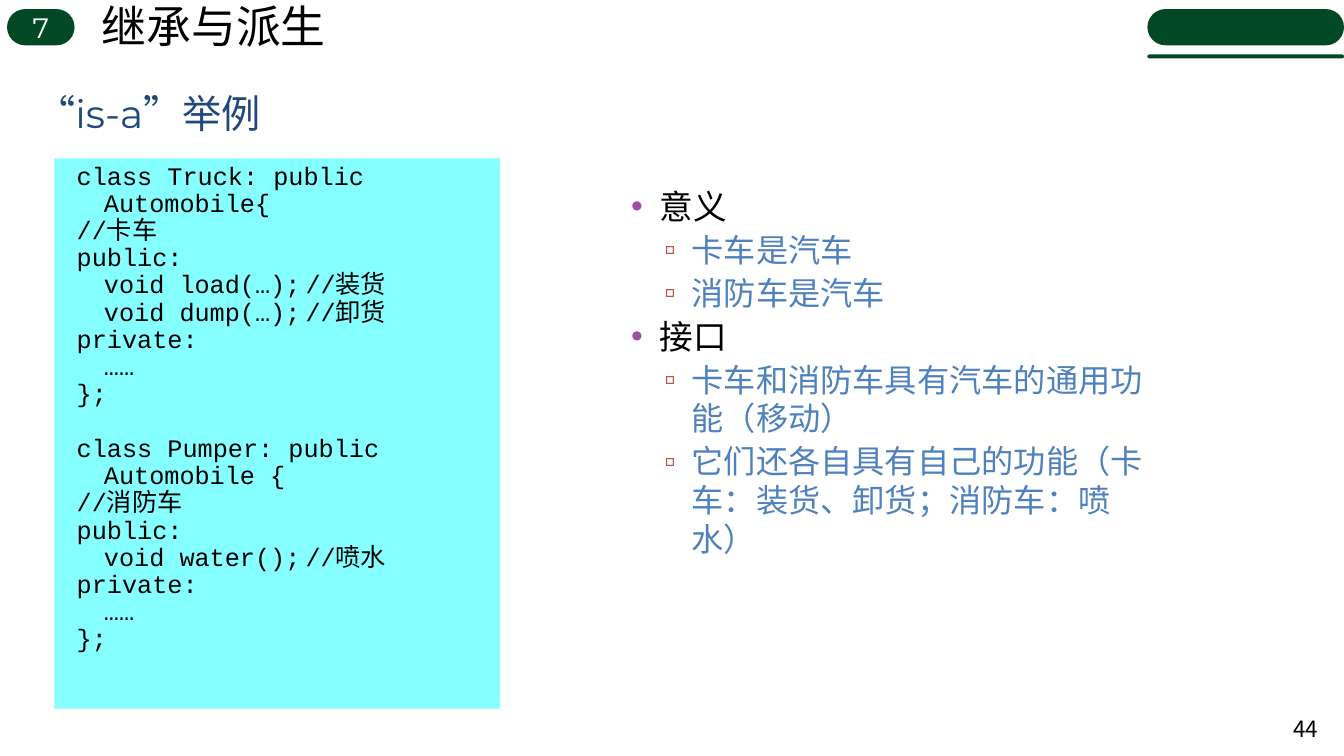
import dataclasses

import lxml.etree
import pptx
import pptx.dml.color
import pptx.enum.shapes
import pptx.enum.text
import pptx.oxml.ns
import pptx.util

Inches = pptx.util.Inches
Pt = pptx.util.Pt
Align = pptx.enum.text.PP_ALIGN
Anchor = pptx.enum.text.MSO_ANCHOR


@dataclasses.dataclass(frozen=True)
class Theme:
    green: str = "014924"
    white: str = "FFFFFF"
    black: str = "000000"
    heading: str = "1F497D"
    code_fill: str = "85FFFF"
    detail: str = "4F81BD"
    point_bullet: str = "A04DA3"
    detail_bullet: str = "C0504D"
    sans: str = "Arial"
    display: str = "Montserrat"
    mono: str = "Courier New"
    chinese: str = "Noto Sans CJK SC"
    chapter_size: int = 32
    heading_size: int = 28
    point_size: int = 24
    detail_size: int = 23
    badge_size: int = 20
    code_size: int = 18
    number_size: int = 16


class SlideBuilder:
    def __init__(self, slide, theme):
        self.slide = slide
        self.theme = theme

    def color(self, value):
        return pptx.dml.color.RGBColor.from_string(value)

    def style(self, paragraph, font, size, color, align=Align.LEFT):
        paragraph.alignment = align
        paragraph.font.name = font
        paragraph.font.size = Pt(size)
        paragraph.font.color.rgb = self.color(color)

    def place(self, shape, box):
        shape.left, shape.top, shape.width, shape.height = map(Inches, box)

    def bar(self, box):
        bar = self.slide.shapes.add_shape(
            pptx.enum.shapes.MSO_SHAPE.ROUNDED_RECTANGLE, *map(Inches, box))
        bar.adjustments[0] = 0.5
        bar.shadow.inherit = False
        bar.fill.solid()
        bar.fill.fore_color.rgb = self.color(self.theme.green)
        bar.line.fill.background()
        return bar

    def badge(self, text, box):
        frame = self.bar(box).text_frame
        frame.vertical_anchor = Anchor.MIDDLE
        frame.text = text
        self.style(frame.paragraphs[0], self.theme.display, self.theme.badge_size,
                   self.theme.white, Align.CENTER)

    def label(self, text, box, font, size, align=Align.LEFT, anchor=Anchor.TOP):
        frame = self.slide.shapes.add_textbox(*map(Inches, box)).text_frame
        frame.word_wrap = True
        frame.vertical_anchor = anchor
        frame.text = text
        self.style(frame.paragraphs[0], font, size, self.theme.black, align)

    def title(self, parts, box):
        title = self.slide.shapes.title
        self.place(title, box)
        title.text_frame.vertical_anchor = Anchor.MIDDLE
        paragraph = title.text_frame.paragraphs[0]
        for text, font in parts:
            run = paragraph.add_run()
            run.text = text
            run.font.name = font
        self.style(paragraph, self.theme.display, self.theme.heading_size,
                   self.theme.heading)

    def body(self, index, box):
        body = self.slide.placeholders[index]
        self.place(body, box)
        body.text_frame.word_wrap = True
        body.text_frame.auto_size = pptx.enum.text.MSO_AUTO_SIZE.NONE
        body.text_frame.vertical_anchor = Anchor.TOP
        return body

    def indent(self, paragraph, margin, hanging, bullet=None, bullet_color=None):
        properties = paragraph._p.get_or_add_pPr()
        properties.set("marL", str(Inches(margin)))
        properties.set("indent", str(Inches(-hanging)))
        qn = pptx.oxml.ns.qn
        if bullet is None:
            lxml.etree.SubElement(properties, qn("a:buNone"))
            return
        tint = lxml.etree.SubElement(properties, qn("a:buClr"))
        lxml.etree.SubElement(tint, qn("a:srgbClr"), val=bullet_color)
        lxml.etree.SubElement(properties, qn("a:buChar"), char=bullet)

    def code(self, index, listings, box):
        panel = self.body(index, box)
        panel.fill.solid()
        panel.fill.fore_color.rgb = self.color(self.theme.code_fill)
        frame = panel.text_frame
        frame.text = "\n".join(listings)
        starts = {listings[0].count("\n") + 1}
        for row, paragraph in enumerate(frame.paragraphs):
            self.indent(paragraph, 0.39, 0.27)
            paragraph.line_spacing = 0.9
            paragraph.space_before = Pt(19.5 if row in starts else 0)
            self.style(paragraph, self.theme.mono, self.theme.code_size,
                       self.theme.black)

    def outline(self, index, points, box):
        theme = self.theme
        frame = self.body(index, box).text_frame
        items = [(level, text) for point, details in points
                 for level, text in [(0, point)] + [(1, detail) for detail in details]]
        frame.text = "\n".join(text for _, text in items)
        levels = (
            (0.4, 0.28, "•", theme.point_bullet, theme.point_size, theme.black),
            (0.72, 0.27, "▫", theme.detail_bullet, theme.detail_size, theme.detail),
        )
        for row, (paragraph, (level, _)) in enumerate(zip(frame.paragraphs, items)):
            margin, hanging, bullet, bullet_color, size, color = levels[level]
            paragraph.level = level
            self.indent(paragraph, margin, hanging, bullet, bullet_color)
            paragraph.space_before = Pt(3 if row else 0)
            self.style(paragraph, theme.sans, size, color)


TRUCK = """class Truck: public Automobile{
//卡车
public:
\tvoid load(…);\t//装货
\tvoid dump(…);\t//卸货
private:
\t……
};"""

PUMPER = """class Pumper: public Automobile {
//消防车
public:
\tvoid water();\t//喷水
private:
\t……
};"""

POINTS = [
    ("意义", ["卡车是汽车", "消防车是汽车"]),
    ("接口", ["卡车和消防车具有汽车的通用功能（移动）",
            "它们还各自具有自己的功能（卡车：装货、卸货；消防车：喷水）"]),
]


def main():
    presentation = pptx.Presentation()
    presentation.slide_width = Inches(13.33)
    presentation.slide_height = Inches(7.5)
    theme = Theme()
    slide = presentation.slides.add_slide(presentation.slide_layouts[3])
    builder = SlideBuilder(slide, theme)

    builder.badge("7", (0.07, 0.09, 0.67, 0.36))
    builder.label("继承与派生", (0.91, -0.06, 2.45, 0.64), theme.sans, theme.chapter_size)
    for top, height in ((0.09, 0.36), (0.54, 0.04)):
        builder.bar((11.38, top, 1.95, height))
    builder.label("44", (12.68, 7.03, 0.49, 0.4), theme.chinese, theme.number_size,
                  Align.RIGHT, Anchor.MIDDLE)
    builder.title([("“", theme.chinese), ("is-a", theme.display),
                   ("”举例", theme.chinese)], (0.26, 0.68, 9, 0.88))
    builder.code(1, [TRUCK, PUMPER], (0.54, 1.57, 4.42, 5.46))
    builder.outline(2, POINTS, (6.04, 1.79, 5.62, 5.46))

    presentation.save("out.pptx")


if __name__ == "__main__":
    main()
